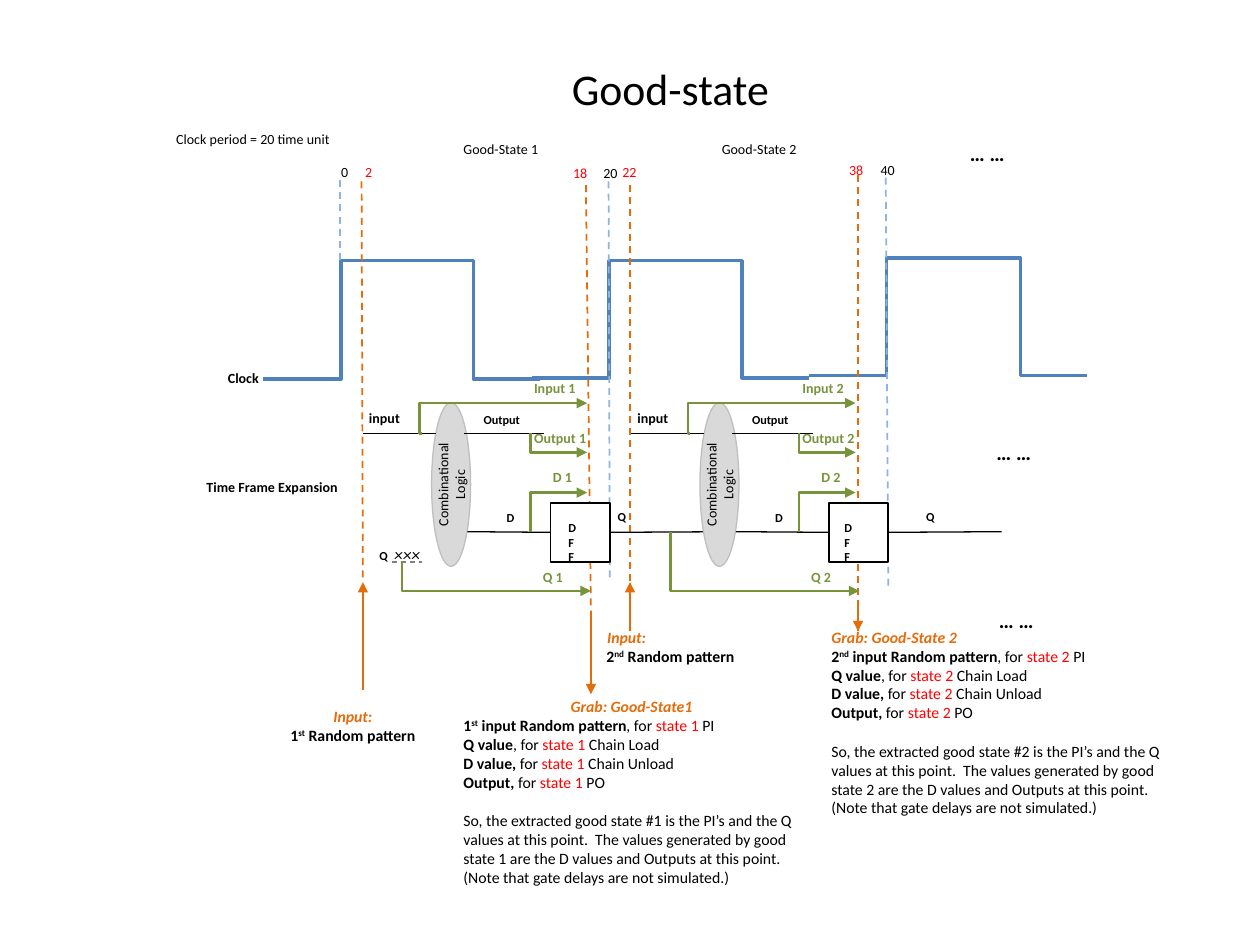
from lxml import etree
from pptx import Presentation
from pptx.dml.color import RGBColor
from pptx.enum.dml import MSO_LINE
from pptx.enum.shapes import MSO_CONNECTOR, MSO_SHAPE
from pptx.enum.text import MSO_ANCHOR, MSO_AUTO_SIZE, PP_ALIGN
from pptx.oxml.ns import qn
from pptx.util import Inches, Pt

STRAIGHT, ELBOW = MSO_CONNECTOR.STRAIGHT, MSO_CONNECTOR.ELBOW
ELLIPSE, RECT = MSO_SHAPE.OVAL, MSO_SHAPE.RECTANGLE
DASH, CENTER, MIDDLE = MSO_LINE.DASH, PP_ALIGN.CENTER, MSO_ANCHOR.MIDDLE
GROW = MSO_AUTO_SIZE.SHAPE_TO_FIT_TEXT
LEFT_SIDE, RIGHT_SIDE = 1, 3

BLACK, RED, WHITE = "000000", "FF0000", "FFFFFF"
BLUE, PALE_BLUE, ORANGE, GREEN = "4F81BD", "8EB4E3", "E46C0A", "77933C"
GRAY, LIGHT_GRAY, EDGE_GRAY = "808080", "D9D9D9", "BFBFBF"


def rgb(value):
    return RGBColor.from_string(value)


def add_run(p, text, size=9, color=BLACK, bold=False, italic=False, sup=False):
    r = p.add_run()
    r.text = text
    r.font.name = "Calibri"
    r.font.size = Pt(size)
    r.font.color.rgb = rgb(color)
    r.font.bold = bold
    r.font.italic = italic
    if sup:
        r._r.get_or_add_rPr().set("baseline", "30000")


class Diagram:
    """Holds the current slide and draws its kinds of element."""

    def __init__(self, slide):
        self.shapes = slide.shapes

    def text_box(self, x, y, w, h, wrap=True):
        tf = self.shapes.add_textbox(*map(Inches, (x, y, w, h))).text_frame
        tf.word_wrap = wrap
        tf.auto_size = GROW
        return tf

    def label(self, text, x, y, w, h=0.24, wrap=False, size=8, **fmt):
        tf = self.text_box(x, y, w, h, wrap)
        add_run(tf.paragraphs[0], text, size=size, **fmt)
        return tf

    def line(self, x1, y1, x2, y2, color=BLACK, width=0.75, dash=False, arrow=False,
             bend=None, start=None, end=None):
        """Draw a straight line, or an elbow when bend gives its turning share."""
        kind = STRAIGHT if bend is None else ELBOW
        c = self.shapes.add_connector(kind, *map(Inches, (x1, y1, x2, y2)))
        c.line.color.rgb = rgb(color)
        c.line.width = Pt(width)
        if dash:
            c.line.dash_style = DASH
        if arrow:
            etree.SubElement(c.line._get_or_add_ln(), qn("a:tailEnd"), type="triangle")
        if bend is not None:
            guides = c._element.spPr.find(qn("a:prstGeom")).get_or_add_avLst()
            etree.SubElement(guides, qn("a:gd"), name="adj1", fmla=f"val {round(bend * 100000)}")
        etree.SubElement(c._element.spPr, qn("a:effectLst"))
        if start is not None:
            c.begin_connect(start, RIGHT_SIDE)
        if end is not None:
            c.end_connect(end, LEFT_SIDE)

    def shape(self, kind, x, y, w, h, fill, edge, width):
        sp = self.shapes.add_shape(kind, *map(Inches, (x, y, w, h)))
        sp.shadow.inherit = False
        sp.fill.solid()
        sp.fill.fore_color.rgb = rgb(fill)
        sp.line.color.rgb = rgb(edge)
        sp.line.width = Pt(width)
        return sp

    def frame(self, dx, dff_x, dff_text_x, q_x, wire_end):
        """Draw the logic, flip-flop and wires of one time frame."""
        sp = self.shape(ELLIPSE, 2.93 + dx, 3.69, 1.3, 0.31, LIGHT_GRAY, EDGE_GRAY, 0.75)
        sp.rotation = 270
        tf = sp.text_frame
        tf.word_wrap = True
        tf.vertical_anchor = MIDDLE
        tf.paragraphs[0].alignment = CENTER
        add_run(tf.paragraphs[0], "Combinational Logic", size=8)

        dff = self.shape(RECT, dff_x, 3.99, 0.47, 0.47, WHITE, BLACK, 1)
        self.line(2.88 + dx, 3.44, 3.46 + dx, 3.44)
        self.line(3.68 + dx, 3.44, 4.32 + dx, 3.44)
        self.line(3.71 + dx, 4.22, dff_x, 4.22, end=dff)
        self.line(dff_x + 0.47, 4.22, wire_end, 4.22, start=dff)

        self.label("input", 2.83 + dx, 3.2, 0.45, bold=True)
        for text, x, y, w in (("Output", 3.74 + dx, 3.22, 0.55), ("DFF", dff_text_x, 4.08, 0.14),
                              ("D", 3.98 + dx, 4, 0.14), ("Q", q_x, 3.99, 0.16)):
            self.label(text, x, y, w, 0.22, wrap=True, size=7, bold=True)

    def signals(self, n, dx, q_start_y):
        """Draw the green sampling arrows and labels of state n."""
        for x1, y1, x2, y2, bend in ((3.35, 3.44, 4.66, 3.2, -0.016), (4.21, 4.22, 4.66, 3.91, 0),
                                     (4.21, 3.44, 4.66, 3.59, 0), (3.19, q_start_y, 4.69, 4.69, 0)):
            self.line(x1 + dx, y1, x2 + dx, y2, GREEN, 1.5, arrow=True, bend=bend)
        for name, x, y, w in (("Output", 4.14, 3.36, 0.62), ("Q", 4.21, 4.46, 0.36),
                              ("D", 4.29, 3.67, 0.36), ("Input", 4.14, 2.96, 0.54)):
            self.label(f"{name} {n}", x + dx, y, w, color=GREEN, bold=True)

    def heading(self, tf, text, indent=0):
        p = tf.paragraphs[0]
        if indent:
            p._p.get_or_add_pPr().set("marL", str(Inches(indent)))
        add_run(p, text, color=ORANGE, bold=True, italic=True)
        return p

    def ordinal(self, p, n, suffix, text):
        add_run(p, str(n), bold=True)
        add_run(p, suffix, bold=True, sup=True)
        add_run(p, text, bold=True)

    def input_note(self, n, suffix, x, y, indent=0):
        tf = self.text_box(x, y, 1.42, 0.4)
        head = self.heading(tf, "Input:", indent)
        if not indent:
            head.alignment = CENTER
        p = tf.add_paragraph()
        p.alignment = CENTER
        self.ordinal(p, n, suffix, " Random pattern")

    def grab_note(self, title, n, suffix, x, y, w, h, indent=0):
        tf = self.text_box(x, y, w, h)
        self.heading(tf, title, indent)
        for value, link, target in (("", ", for ", "PI"), ("Q value", ", for ", "Chain Load"),
                                    ("D value, ", "for ", "Chain Unload"),
                                    ("Output, ", "for ", "PO")):
            p = tf.add_paragraph()
            if value:
                add_run(p, value, bold=True)
            else:
                self.ordinal(p, n, suffix, " input Random pattern")
            add_run(p, link)
            add_run(p, f"state {n} ", color=RED)
            add_run(p, target)
        p = tf.add_paragraph()
        p.space_before = Pt(11)
        add_run(p, f"So, the extracted good state #{n} is the PI’s and the Q values at this point.  "
                   f"The values generated by good state {n} are the D values and Outputs at this "
                   "point.  (Note that gate delays are not simulated.)")


def main():
    prs = Presentation()
    prs.slide_width, prs.slide_height = Inches(10), Inches(7.5)
    d = Diagram(prs.slides.add_slide(prs.slide_layouts[6]))

    tf = d.label("Good-state", 0.82, 0.07, 9, 1.25, wrap=True, size=25)
    tf.auto_size = MSO_AUTO_SIZE.NONE
    tf.vertical_anchor = MIDDLE
    tf.paragraphs[0].alignment = CENTER

    # Clock wave: each period has a rising and a falling elbow
    for rise_x, fall_x, low, high in ((2.09, 3.23, 3.01, 2.07), (4.22, 5.36, 3, 2.07),
                                      (6.42, 7.57, 2.98, 2.05)):
        d.line(fall_x + 1.06, low, fall_x, high, BLUE, 2, bend=0.5)
        d.line(rise_x, low, rise_x + 1.23, high, BLUE, 2, bend=0.5)

    # Time marks: clock edges are pale blue, sample points orange
    for x1, y1, x2, y2, color in ((2.7, 1.43, 2.7, 2.09, PALE_BLUE), (2.87, 1.44, 2.88, 4.62, ORANGE),
                                  (4.83, 1.44, 4.84, 4.62, PALE_BLUE), (4.65, 1.47, 4.69, 4.85, ORANGE),
                                  (7.03, 1.41, 7.05, 4.69, PALE_BLUE), (6.81, 1.39, 6.81, 5.01, ORANGE),
                                  (5, 1.47, 5, 4.62, ORANGE)):
        d.line(x1, y1, x2, y2, color, 1, dash=True)
    for time, x, y, w, color in (("0", 2.61, 1.25, 0.27, BLACK), ("2", 2.8, 1.25, 0.26, RED),
                                 ("18", 4.45, 1.26, 0.32, RED), ("20", 4.69, 1.26, 0.33, BLACK),
                                 ("22", 4.84, 1.25, 0.32, RED), ("38", 6.64, 1.23, 0.32, RED),
                                 ("40", 6.89, 1.23, 0.32, BLACK)):
        d.label(time, x, y, w, color=color)

    d.frame(0, 4.37, 4.47, 4.84, 5.82)
    d.frame(2.13, 6.58, 6.66, 7.29, 7.95)
    d.line(3.11, 4.46, 3.35, 4.46, GRAY, dash=True)
    d.label("Q", 2.95, 4.3, 0.16, 0.22, wrap=True, size=7, bold=True)
    d.label("×××", 3.03, 4.27, 0.47, 0.27, wrap=True, size=10, italic=True)
    d.signals(1, 0, 4.46)
    d.signals(2, 2.13, 4.22)

    for text, x, y, w, bold in (("Clock period = 20 time unit", 1.3, 0.99, 1.44, False),
                                ("Clock", 1.71, 2.88, 0.45, True),
                                ("Time Frame Expansion", 1.54, 3.75, 1.25, True),
                                ("Good-State 1", 3.58, 1.07, 0.81, False),
                                ("Good-State 2", 5.63, 1.07, 0.81, False)):
        d.label(text, x, y, w, bold=bold)
    for x, y in ((7.6, 1.07), (7.81, 3.44), (7.83, 4.77)):
        d.label("… …", x, y, 0.5, 0.3, size=12, bold=True)

    for x, y1, y2 in ((2.88, 5.48, 4.62), (4.69, 4.85, 5.51), (5, 5.01, 4.62), (6.81, 4.77, 5.01)):
        d.line(x, y1, x, y2, ORANGE, 1, arrow=True)
    d.input_note(1, "st", 2.09, 5.56)
    d.input_note(2, "nd", 4.61, 4.93, indent=0.11)
    d.grab_note("Grab: Good-State1", 1, "st", 3.58, 5.48, 2.91, 1.77, indent=0.85)
    d.grab_note("Grab: Good-State 2", 2, "nd", 6.5, 4.93, 2.92, 1.92)
    prs.save("out.pptx")


if __name__ == "__main__":
    main()
